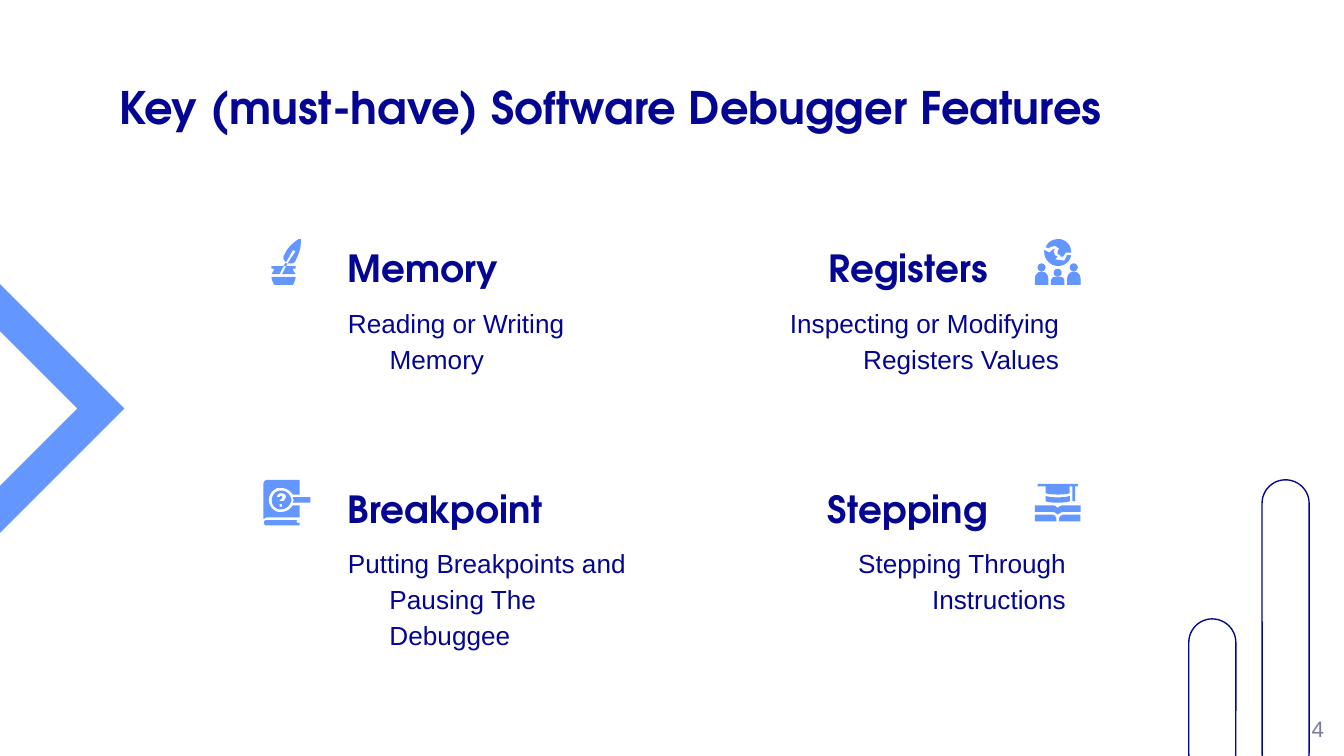
import pptx
import pptx.util
import pptx.dml.color
import pptx.enum.shapes
import pptx.enum.text

SCALE = 9144
NAVY = pptx.dml.color.RGBColor(0x05, 0x05, 0x94)
BLUE = pptx.dml.color.RGBColor(0x63, 0x96, 0xFF)
GREY = pptx.dml.color.RGBColor(0x79, 0x79, 0xAE)
HEADING_FONT = "TeX Gyre Adventor"
BODY_FONT = "Arial"
CURVE_STEPS = 8
SHAPE = pptx.enum.shapes.MSO_SHAPE
ANCHOR = pptx.enum.text.MSO_ANCHOR
ALIGN = pptx.enum.text.PP_ALIGN

BOOK = [
    "198,387 196,387,196,391,198,391 223,391 223,389 222,389 220,389,220,387,222,387",
    "209,367 211,367,213,368,213,370 212,371,212,372,211,373 211,373,210,373,210,373 208,373 "
    "208,372,209,371,210,371 210,371,210,370,210,370 210,370,210,369,209,369 "
    "209,369,208,370,208,370 206,370 206,368,208,367,209,367"
    "|210,375 210,377 208,377 208,375"
    "|209,365 203,365,200,373,204,377 206,379,208,379,209,379 213,379,216,376,217,372 "
    "216,368,213,365,209,365",
    "218,370 218,371,218,372,219,372 218,373,218,374,218,374 231,374 231,370",
    "199,357 198,357,196,358,196,360 196,386 197,386,198,385,198,385 223,385 223,376 218,376 "
    "216,379,213,381,209,381 209,381,208,381,207,381 203,380,200,376,200,372 "
    "200,368,203,364,207,363 208,363,209,363,209,363 213,363,216,365,218,368 223,368 223,357",
]
GRADUATION = [
    "772,360 772,362 778,362 778,367 781,368,784,368,787,368 790,368,793,368,796,367 796,362 "
    "798,362 798,373 800,373 800,362 802,362 802,360",
    "778,369 778,373 781,374,784,374,787,374 790,374,793,374,796,373 796,369 "
    "793,370,790,370,787,370 784,370,781,370,778,369",
    "770,383 770,388 786,388 786,386 786,385,785,383,783,383",
    "770,376 770,381 783,381 785,381,786,382,787,383 788,382,790,381,791,381 804,381 804,376 "
    "791,376 790,376,788,377,787,378 786,377,785,376,783,376",
    "791,383 790,383,788,385,788,386 788,388 804,388 804,383",
]
QUILL = [
    "224,178 222,178 218,181,214,184,212,189 210,191,211,194,213,195 218,186 220,187 214,196 "
    "215,196,215,196,216,196 218,196,219,196,220,194 220,193,224,188,224,179",
    "213,195 211,198 213,198 214,196 214,196,214,196,213,196 213,196,213,195,213,195",
    "202,206 202,208,203,210,204,212 217,212 218,212 219,210,220,208,220,206",
    "202,198 202,200 203,200 203,200,204,200,204,201 202,204 208,204 211,198",
    "213,198 210,204 220,204 218,201 218,200,218,200,219,200 220,200 220,198",
]
GLOBE = [
    "787,178 783,178,780,180,778,184 781,185 781,184 785,183 788,185 787,187 787,189 789,190 "
    "789,191 791,191 793,188 797,188 797,183,794,179,789,178 789,178,788,178,787,178",
    "785,185 783,186 781,188 777,186 777,186,777,187,777,188 777,193,782,198,787,198 "
    "792,198,796,195,797,190 794,190 792,194 785,193 787,191 785,190 784,187 785,185",
]


def px(value):
    return pptx.util.Emu(round(value * SCALE))


def paint(shape, fill=None, line=None):
    shape.shadow.inherit = False
    if fill is None:
        shape.fill.background()
    else:
        shape.fill.solid()
        shape.fill.fore_color.rgb = fill
    if line is None:
        shape.line.fill.background()
    else:
        shape.line.color.rgb = line
        shape.line.width = pptx.util.Pt(0.75)


def add_preset(shapes, kind, left, top, width, height, *, turn=0, adjustment=None, **colours):
    shape = shapes.add_shape(kind, px(left), px(top), px(width), px(height))
    shape.rotation = turn
    if adjustment is not None:
        shape.adjustments[0] = adjustment
    paint(shape, **colours)


def bezier(corners, time):
    weights = ((1 - time) ** 3, 3 * time * (1 - time) ** 2, 3 * time**2 * (1 - time), time**3)
    return tuple(sum(w * corner[axis] for w, corner in zip(weights, corners)) for axis in (0, 1))


def contour_points(contour):
    points = []
    for segment in contour.split():
        numbers = [int(number) for number in segment.split(",")]
        corners = list(zip(numbers[::2], numbers[1::2]))
        if len(corners) == 1:
            points += corners
        else:
            curve = [points[-1]] + corners
            points += [bezier(curve, step / CURVE_STEPS) for step in range(1, CURVE_STEPS + 1)]
    return [(px(x), px(y)) for x, y in points]


def add_outline(shapes, outline):
    contours = [contour_points(contour) for contour in outline.split("|")]
    builder = shapes.build_freeform(*contours[0][0], scale=1.0)
    for index, points in enumerate(contours):
        if index:
            builder.move_to(*points[0])
        builder.add_line_segments(points[1:], close=True)
    paint(builder.convert_to_shape(), fill=BLUE)


def add_icon(page, outlines):
    group = page.shapes.add_group_shape()
    for outline in outlines:
        add_outline(group.shapes, outline)
    return group


def add_people(group):
    for left, top in ((770, 196), (782, 200), (794, 196)):
        add_preset(group.shapes, SHAPE.OVAL, left + 2, top, 6, 6, fill=BLUE)
        add_preset(group.shapes, SHAPE.ROUND_2_SAME_RECTANGLE, left, top + 6, 10, 206 - top,
                   adjustment=0.5, fill=BLUE)


def add_text(page, text, left, top, width, height, *, size, font=BODY_FONT, colour=NAVY,
             bold=False, align=ALIGN.LEFT, anchor=ANCHOR.TOP, spacing=1.0, hanging=0):
    box = page.shapes.add_textbox(px(left), px(top), px(width), px(height))
    frame = box.text_frame
    frame.word_wrap = True
    frame.vertical_anchor = anchor
    frame.margin_left = frame.margin_right = frame.margin_top = frame.margin_bottom = px(10)
    para = frame.paragraphs[0]
    para.alignment = align
    para.line_spacing = spacing
    if hanging:
        properties = para._p.get_or_add_pPr()
        properties.set("marL", str(px(hanging)))
        properties.set("indent", str(-px(hanging)))
    span = para.add_run()
    span.text = text
    span.font.name = font
    span.font.size = pptx.util.Pt(size)
    span.font.bold = bold
    span.font.color.rgb = colour


def add_feature(page, heading, detail, left, top, width, *, align, hanging):
    add_text(page, detail, left, top + 42, width, 73, size=14, align=align,
             spacing=1.15, hanging=hanging)
    add_text(page, heading, left, top, 216, 53, size=20, font=HEADING_FONT, bold=True,
             align=align, anchor=ANCHOR.BOTTOM, spacing=1.15)


def main():
    deck = pptx.Presentation()
    deck.slide_width = px(1000)
    deck.slide_height = deck.slide_width * 9 // 16
    page = deck.slides.add_slide(deck.slide_layouts[6])

    add_preset(page.shapes, SHAPE.FRAME, -74, 235, 138, 138, turn=45, adjustment=0.179, fill=BLUE)
    add_text(page, "Key (must-have) Software Debugger Features", 79, 49, 843, 63,
             size=24, font=HEADING_FONT, bold=True)

    features = [
        ("Memory", "Reading or Writing Memory", 249, 173, 252, ALIGN.LEFT, 31),
        ("Registers", "Inspecting or Modifying Registers Values", 529, 173, 269, ALIGN.RIGHT, 0),
        ("Breakpoint", "Putting Breakpoints and Pausing The Debuggee",
         249, 352, 243, ALIGN.LEFT, 31),
        ("Stepping", "Stepping Through Instructions", 529, 352, 274, ALIGN.RIGHT, 31),
    ]
    for heading, detail, left, top, width, align, hanging in features:
        add_feature(page, heading, detail, left, top, width, align=align, hanging=hanging)

    for outlines in (BOOK, GRADUATION, QUILL):
        add_icon(page, outlines)
    add_people(add_icon(page, GLOBE))

    for left, top, length in ((846, 450, 221), (843, 502, 118)):
        add_preset(page.shapes, SHAPE.ROUNDED_RECTANGLE, left, top, length, 35,
                   turn=90, adjustment=0.5, line=NAVY)
    add_text(page, "4", 770, 527, 225, 30, size=12, colour=GREY,
             align=ALIGN.RIGHT, anchor=ANCHOR.MIDDLE)

    deck.save("out.pptx")


if __name__ == "__main__":
    main()
